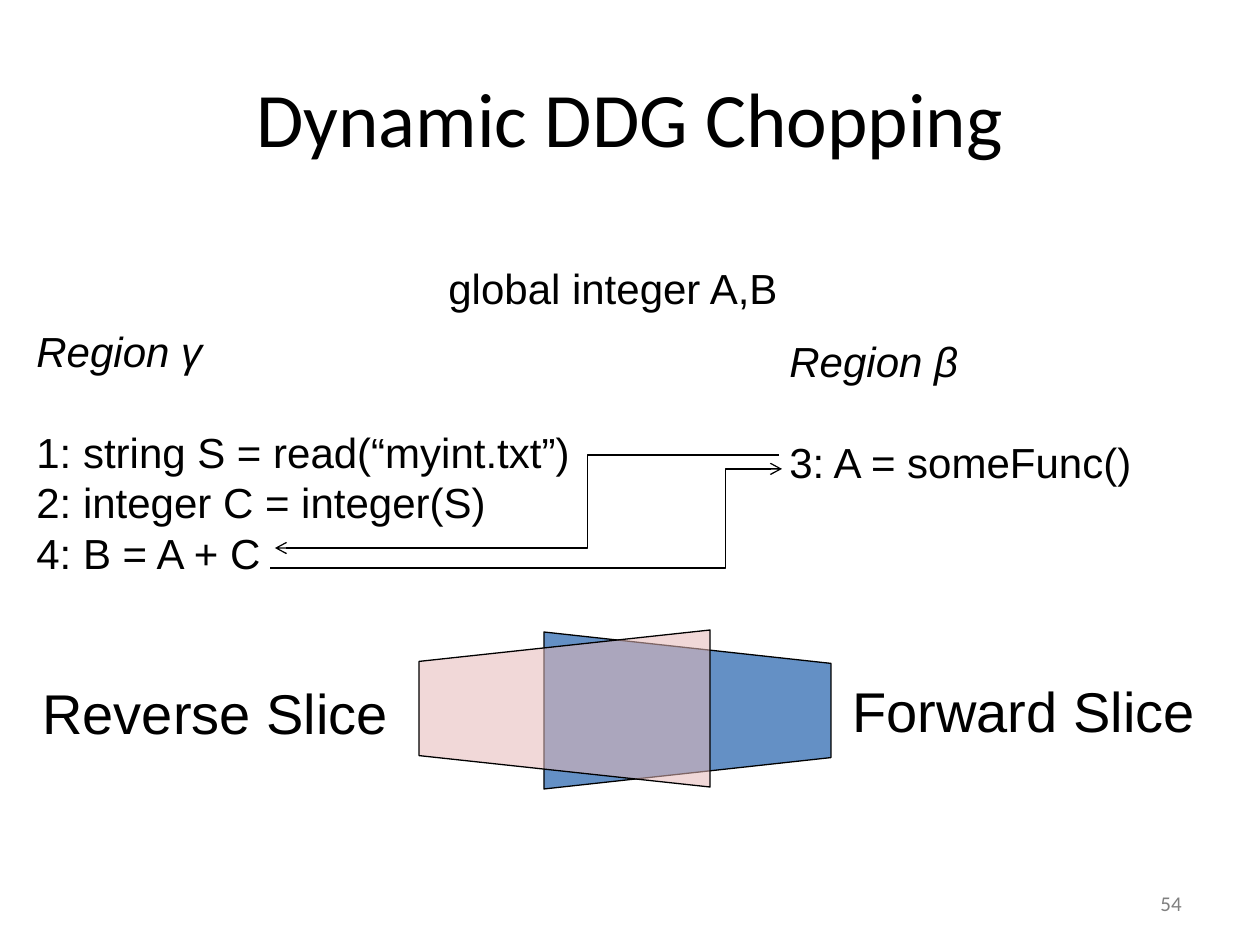
import pptx
import pptx.util
import pptx.dml.color
import pptx.enum.shapes
import pptx.enum.text
import pptx.oxml
import pptx.oxml.ns
import lxml.etree

PX = 914400 / 126
BLACK = pptx.dml.color.RGBColor(0x00, 0x00, 0x00)
GRAY = pptx.dml.color.RGBColor(0x80, 0x80, 0x80)
BLUE = pptx.dml.color.RGBColor(0x4F, 0x81, 0xBD)
PINK = pptx.dml.color.RGBColor(0xE6, 0xB9, 0xB8)
ALIGN = pptx.enum.text.PP_ALIGN
ANCHOR = pptx.enum.text.MSO_ANCHOR


def emu(*lengths):
    return [pptx.util.Emu(round(length * PX)) for length in lengths]


def sub_element(parent, tag, **attributes):
    return lxml.etree.SubElement(parent, pptx.oxml.ns.qn(tag), attributes)


def add_text(page, bounds, text, size, font="Arial", color=BLACK,
             align=ALIGN.LEFT, anchor=ANCHOR.TOP, wrap=False):
    frame = page.shapes.add_textbox(*emu(*bounds)).text_frame
    frame.text = text
    frame.word_wrap = wrap
    frame.vertical_anchor = anchor
    for paragraph in frame.paragraphs:
        paragraph.alignment = align
        for span in paragraph.runs:
            span.font.name = font
            span.font.size = pptx.util.Pt(size)
            span.font.color.rgb = color
    return frame


def add_region(page, bounds, heading, statements):
    """Italic heading, a one-line gap, then the numbered statements."""
    frame = add_text(page, bounds, "\n".join([heading, *statements]), 24)
    frame.paragraphs[0].runs[0].font.italic = True
    frame.paragraphs[1].space_before = pptx.util.Pt(29)


def add_dependence(page, start, end, bend):
    """Elbow arrow; bend is the share of the width before the turn."""
    line = page.shapes.add_connector(
        pptx.enum.shapes.MSO_CONNECTOR.ELBOW, *emu(*start, *end))
    line.line.color.rgb = BLACK
    line.line.width = pptx.util.Pt(0.75)
    properties = line._element.spPr
    guides = properties.find(".//" + pptx.oxml.ns.qn("a:avLst"))
    sub_element(guides, "a:gd", name="adj1", fmla=f"val {round(bend * 100000)}")
    sub_element(line.line._get_or_add_ln(), "a:tailEnd", type="arrow")
    sub_element(properties, "a:effectLst")


def add_slice(page, bounds, rotation, color, opacity):
    shape = page.shapes.add_shape(
        pptx.enum.shapes.MSO_SHAPE.FLOWCHART_MANUAL_OPERATION, *emu(*bounds))
    shape.rotation = rotation
    shape.shadow.inherit = False
    shape.fill.solid()
    shape.fill.fore_color.rgb = color
    shape.line.color.rgb = BLACK
    shape.line.width = pptx.util.Pt(0.75)
    fill_color = shape._element.spPr.find(
        pptx.oxml.ns.qn("a:solidFill") + "/" + pptx.oxml.ns.qn("a:srgbClr"))
    sub_element(fill_color, "a:alpha", val=str(opacity * 1000))


def main():
    deck = pptx.Presentation()
    deck.slide_width, deck.slide_height = emu(1260, 945)
    page = deck.slides.add_slide(deck.slide_layouts[6])

    # Title
    add_text(page, (63, 38, 1134, 157), "Dynamic DDG Chopping", 44, "Calibri",
             align=ALIGN.CENTER, anchor=ANCHOR.MIDDLE, wrap=True)

    # Program regions
    add_text(page, (436, 256, 358, 63), "global integer A,B", 24)
    add_region(page, (24, 319, 576, 318), "Region γ",
               ["1: string S = read(“myint.txt”)",
                "2: integer C = integer(S)",
                "4: B = A + C"])
    add_region(page, (777, 329, 383, 217), "Region β", ["3: A = someFunc()"])

    # Dependences between the regions
    add_dependence(page, (779, 455), (275, 548), 0.38)
    add_dependence(page, (270, 568), (782, 469), 0.89)

    # Overlapping slices and their labels
    add_slice(page, (609, 567, 157, 287), 270, BLUE, 88)
    add_text(page, (840, 670, 372, 81), "Forward Slice", 32)
    add_slice(page, (486, 563, 157, 291), 90, PINK, 55)
    add_text(page, (30, 672, 374, 81), "Reverse Slice", 32)

    # Page number
    add_text(page, (900, 878, 294, 50), "54", 12, "Calibri", GRAY,
             ALIGN.RIGHT, ANCHOR.MIDDLE, wrap=True)

    deck.save("out.pptx")


if __name__ == "__main__":
    main()
